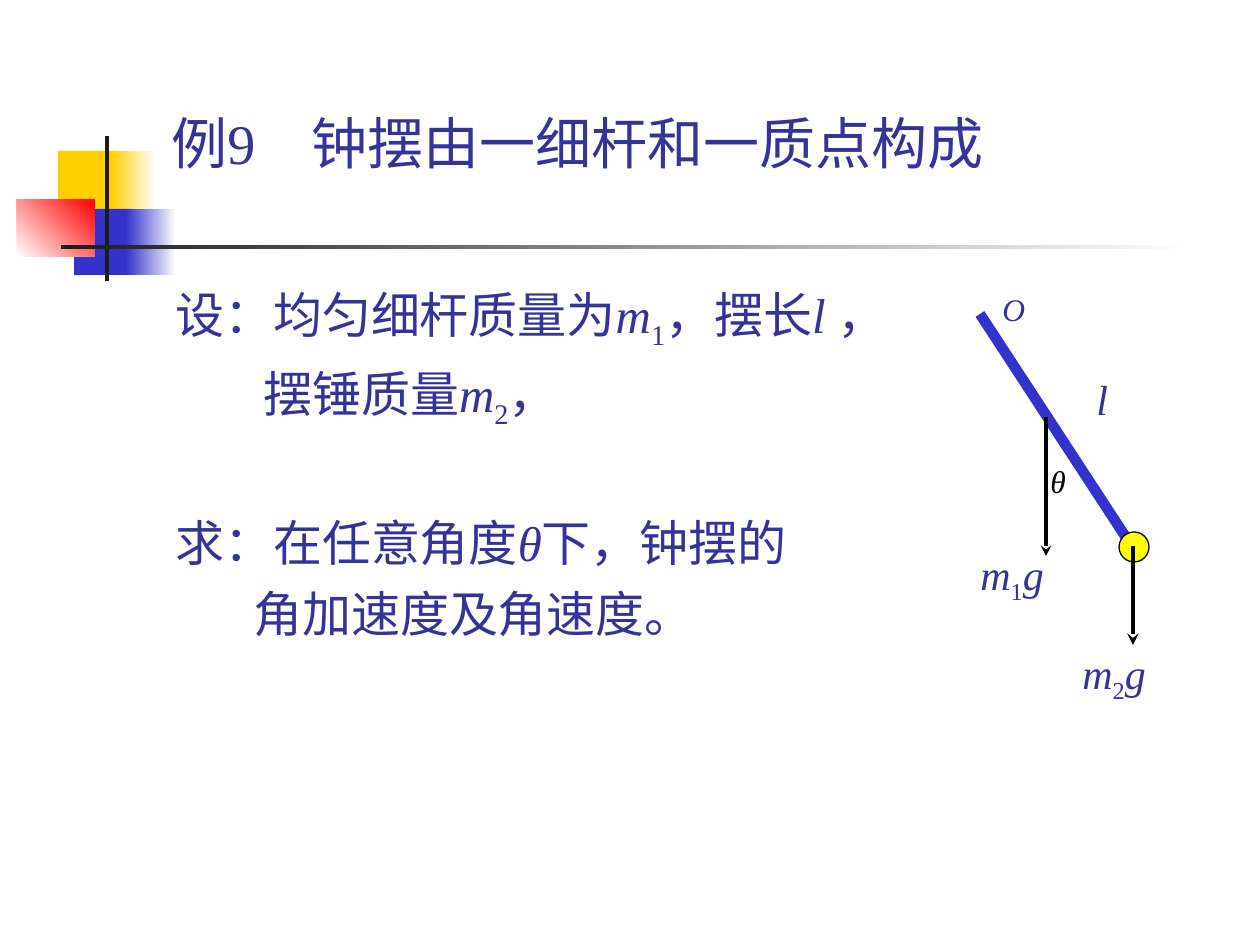
"""Build a physics slide that sets a problem about a pendulum clock."""
from lxml.etree import SubElement
from pptx import Presentation
from pptx.dml.color import RGBColor
from pptx.enum.shapes import MSO_CONNECTOR as CONNECTOR, MSO_SHAPE as SHAPE
from pptx.enum.text import MSO_ANCHOR as ANCHOR
from pptx.oxml.ns import qn
from pptx.util import Emu, Pt

COLORS = {"ink": "333399", "blue": "3333CC", "gold": "FFCF01", "red": "FF0000",
          "dark": "1C1C1C", "yellow": "FFFF00", "black": "000000", "white": "FFFFFF"}
FONT = "Times New Roman"


def px(*values):
    return [Emu(round(value * 914400 / 126)) for value in values]


def add_text(shapes, box, paragraphs, size, color="ink", wrap=True, anchor=ANCHOR.TOP):
    frame = shapes.add_textbox(*px(*box)).text_frame
    frame.word_wrap = wrap
    frame.vertical_anchor = anchor
    for index, (indent, space, runs) in enumerate(paragraphs):
        paragraph = frame.paragraphs[0] if index == 0 else frame.add_paragraph()
        paragraph.space_before = Pt(space)
        properties = paragraph._p.get_or_add_pPr()
        properties.set("marL", str(px(indent)[0]))
        for text, style in runs:
            run = paragraph.add_run()
            run.text = text
            run.font.size = Pt(size)
            run.font.name = FONT
            run.font.italic = style == "italic"
            run.font.color.rgb = RGBColor.from_string(COLORS[color])
            if style == "sub":
                run._r.get_or_add_rPr().set("baseline", "-25000")
    return frame


presentation = Presentation()
presentation.slide_width, presentation.slide_height = px(1260, 945)
slide = presentation.slides.add_slide(presentation.slide_layouts[6])

decorations = [
    ((58, 151, 60, 66), ["gold"], 0),
    ((111, 151, 45, 66), ["gold", "white"], 0),
    ((74, 209, 58, 66), ["blue"], 0),
    ((126, 209, 50, 66), ["blue", "white"], 0),
    ((17, 199, 78, 58), ["white", "red"], 45),
    ((105, 136, 4, 145), ["dark"], 0),
    ((61, 245, 1134, 4), ["dark", "white"], 0),
]
for box, names, angle in decorations:
    shape = slide.shapes.add_shape(SHAPE.RECTANGLE, *px(*box))
    shape.shadow.inherit = False
    shape.line.fill.background()
    if len(names) == 1:
        shape.fill.solid()
        shape.fill.fore_color.rgb = RGBColor.from_string(COLORS[names[0]])
    else:
        shape.fill.gradient()
        shape.fill.gradient_angle = angle
        for stop, name in zip(shape.fill.gradient_stops, names):
            stop.color.rgb = RGBColor.from_string(COLORS[name])

title = add_text(slide.shapes, (159, 55, 968, 175),
                 [(0, 0, [("例9\t钟摆由一细杆和一质点构成", "")])], 32, anchor=ANCHOR.MIDDLE)
tabs = SubElement(title.paragraphs[0]._p.get_or_add_pPr(), qn("a:tabLst"))
SubElement(tabs, qn("a:tab"), pos=str(px(140)[0]), algn="l")

problem = [
    (0, 7, [("设：均匀细杆质量为", ""), ("m", "italic"), ("1", "sub"), ("，摆长", ""),
            ("l ", "italic"), ("，", "")]),
    (88, 7, [("摆锤质量", ""), ("m", "italic"), ("2", "sub"), ("，", "")]),
    (0, 47, [("求：在任意角度", ""), ("θ", "italic"), ("下，钟摆的", "")]),
    (78, 7, [("角加速度及角速度。", "")]),
]
add_text(slide.shapes, (163, 278, 1071, 567), problem, 28)

pendulum = slide.shapes.add_group_shape().shapes
lines = [
    ((980, 314, 1129, 542), "blue", 6, False),
    ((1046, 417, 1046, 556), "black", 2, True),
    ((1133, 546, 1133, 645), "black", 2.25, True),
]
for ends, color, width, is_force in lines:
    connector = pendulum.add_connector(CONNECTOR.STRAIGHT, *px(*ends))
    connector.line.color.rgb = RGBColor.from_string(COLORS[color])
    connector.line.width = Pt(width)
    if is_force:
        SubElement(connector.line._get_or_add_ln(), qn("a:tailEnd"), type="stealth")
    else:
        bob = pendulum.add_shape(SHAPE.OVAL, *px(1119, 532, 30, 30))
        bob.shadow.inherit = False
        bob.fill.solid()
        bob.fill.fore_color.rgb = RGBColor.from_string(COLORS["yellow"])
        bob.line.color.rgb = RGBColor.from_string(COLORS["black"])
        bob.line.width = Pt(0.75)
    SubElement(connector._element.spPr, qn("a:effectLst"))

for box, digit in [((968, 542, 102, 71), "1"), ((1070, 641, 102, 71), "2")]:
    weight = [("m", "italic"), (digit, "sub"), ("g", "italic")]
    add_text(pendulum, box, [(0, 0, weight)], 24)

labels = [
    ("O", (990, 284, 48, 50), 18, "ink"),
    ("θ", (1038, 456, 40, 50), 18, "black"),
    ("l", (1084, 367, 37, 63), 24, "ink"),
]
for text, box, size, color in labels:
    add_text(pendulum, box, [(0, 0, [(text, "italic")])], size, color=color, wrap=False)

presentation.save("out.pptx")
